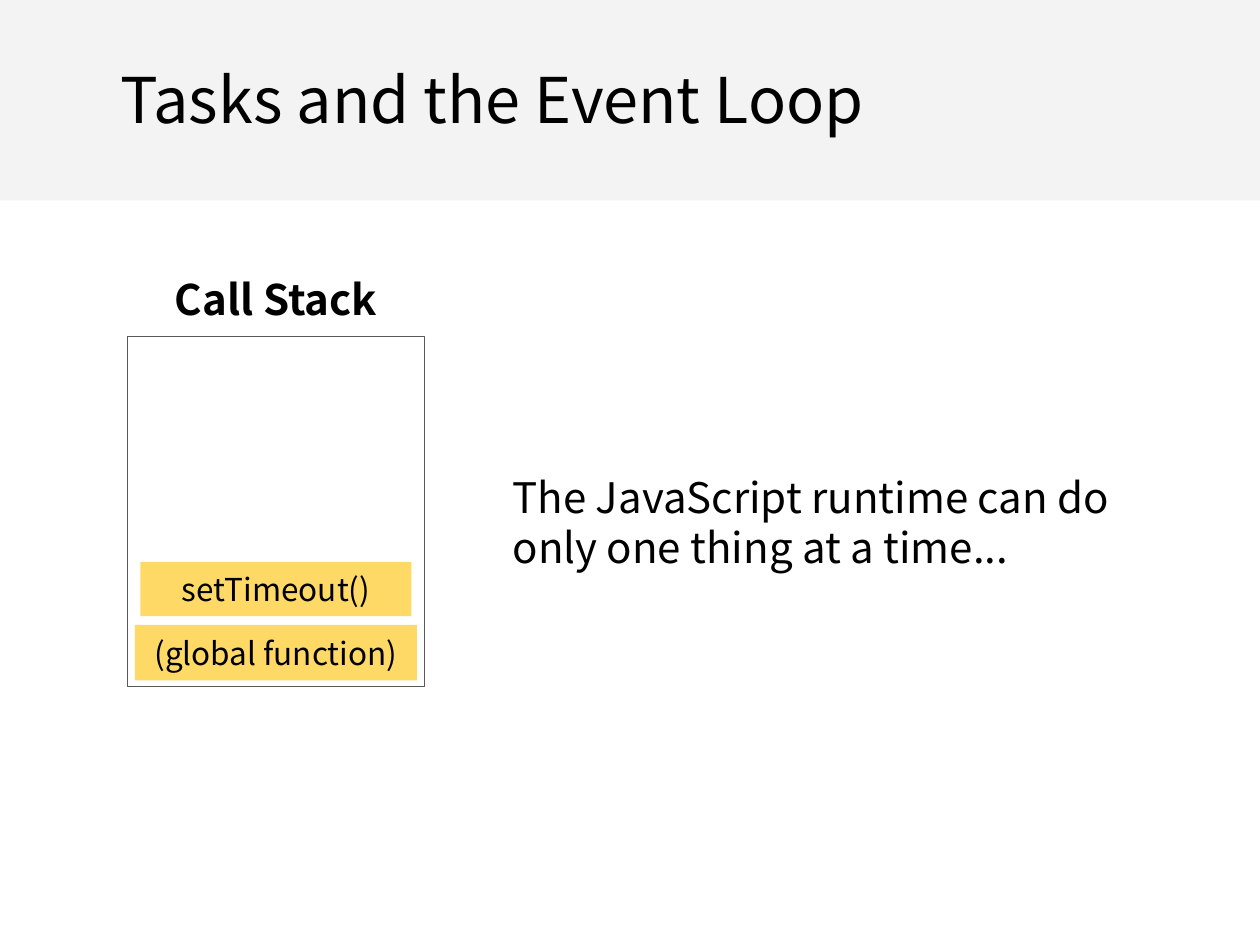
from pptx import Presentation
from pptx import util as u
from pptx.dml.color import RGBColor
from pptx.enum import shapes, text

FONT = "Noto Sans CJK SC"
BLACK = RGBColor(0x00, 0x00, 0x00)
BAND_GRAY = RGBColor(0xF3, 0xF3, 0xF3)
OUTLINE_GRAY = RGBColor(0x59, 0x59, 0x59)
FRAME_YELLOW = RGBColor(0xFF, 0xD9, 0x66)

TITLE = "Tasks and the Event Loop"
STACK_LABEL = "Call Stack"
MESSAGE = "The JavaScript runtime can do only one thing at a time..."
CALLS = [
    ("(global function)", 2.24, 0.44),
    ("setTimeout()", 2.15, 0.43),
]

WIDTH, HEIGHT = 10, 7.5
STACK_LEFT, STACK_TOP, STACK_WIDTH, STACK_HEIGHT = 1.01, 2.67, 2.36, 2.78
LABEL_HEIGHT = 0.48
PADDING, CALL_GAP = 0.05, 0.07

LEFT, CENTER = text.PP_ALIGN.LEFT, text.PP_ALIGN.CENTER
TOP, MIDDLE = text.MSO_ANCHOR.TOP, text.MSO_ANCHOR.MIDDLE


def add_box(slide, box, fill=None, line=None):
    shape = slide.shapes.add_shape(
        shapes.MSO_SHAPE.RECTANGLE, *[u.Inches(length) for length in box])
    shape.shadow.inherit = False
    if fill is None:
        shape.fill.background()
    else:
        shape.fill.solid()
        shape.fill.fore_color.rgb = fill
    if line is None:
        shape.line.fill.background()
    else:
        shape.line.color.rgb = line
        shape.line.width = u.Pt(0.75)
    return shape


def write(shape, words, size, align=LEFT, anchor=MIDDLE, bold=False):
    frame = shape.text_frame
    frame.word_wrap = True
    frame.vertical_anchor = anchor
    frame.margin_left = frame.margin_right = u.Inches(0.1)
    frame.margin_top = frame.margin_bottom = u.Inches(0.1)
    paragraph = frame.paragraphs[0]
    paragraph.alignment = align
    run = paragraph.add_run()
    run.text = words
    run.font.name = FONT
    run.font.size = u.Pt(size)
    run.font.bold = bold
    run.font.color.rgb = BLACK


def add_text(slide, box, words, size, **style):
    shape = slide.shapes.add_textbox(*[u.Inches(length) for length in box])
    write(shape, words, size, **style)


presentation = Presentation()
presentation.slide_width = u.Inches(WIDTH)
presentation.slide_height = u.Inches(HEIGHT)
slide = presentation.slides.add_slide(presentation.slide_layouts[6])

add_box(slide, (0, 0, WIDTH, 1.59), fill=BAND_GRAY)
add_text(slide, (0.86, 0.38, 8.29, 0.83), TITLE, 36, anchor=TOP)

add_box(slide, (STACK_LEFT, STACK_TOP, STACK_WIDTH, STACK_HEIGHT), line=OUTLINE_GRAY)
add_text(slide, (STACK_LEFT, 2.13, STACK_WIDTH, LABEL_HEIGHT), STACK_LABEL, 24,
         align=CENTER, bold=True)

bottom = STACK_TOP + STACK_HEIGHT - PADDING
for name, width, height in CALLS:
    left = STACK_LEFT + (STACK_WIDTH - width) / 2
    call = add_box(slide, (left, bottom - height, width, height), fill=FRAME_YELLOW)
    write(call, name, 18, align=CENTER)
    bottom -= height + CALL_GAP

add_text(slide, (3.97, 2.75, 5.01, 2.78), MESSAGE, 24)

presentation.save("out.pptx")
